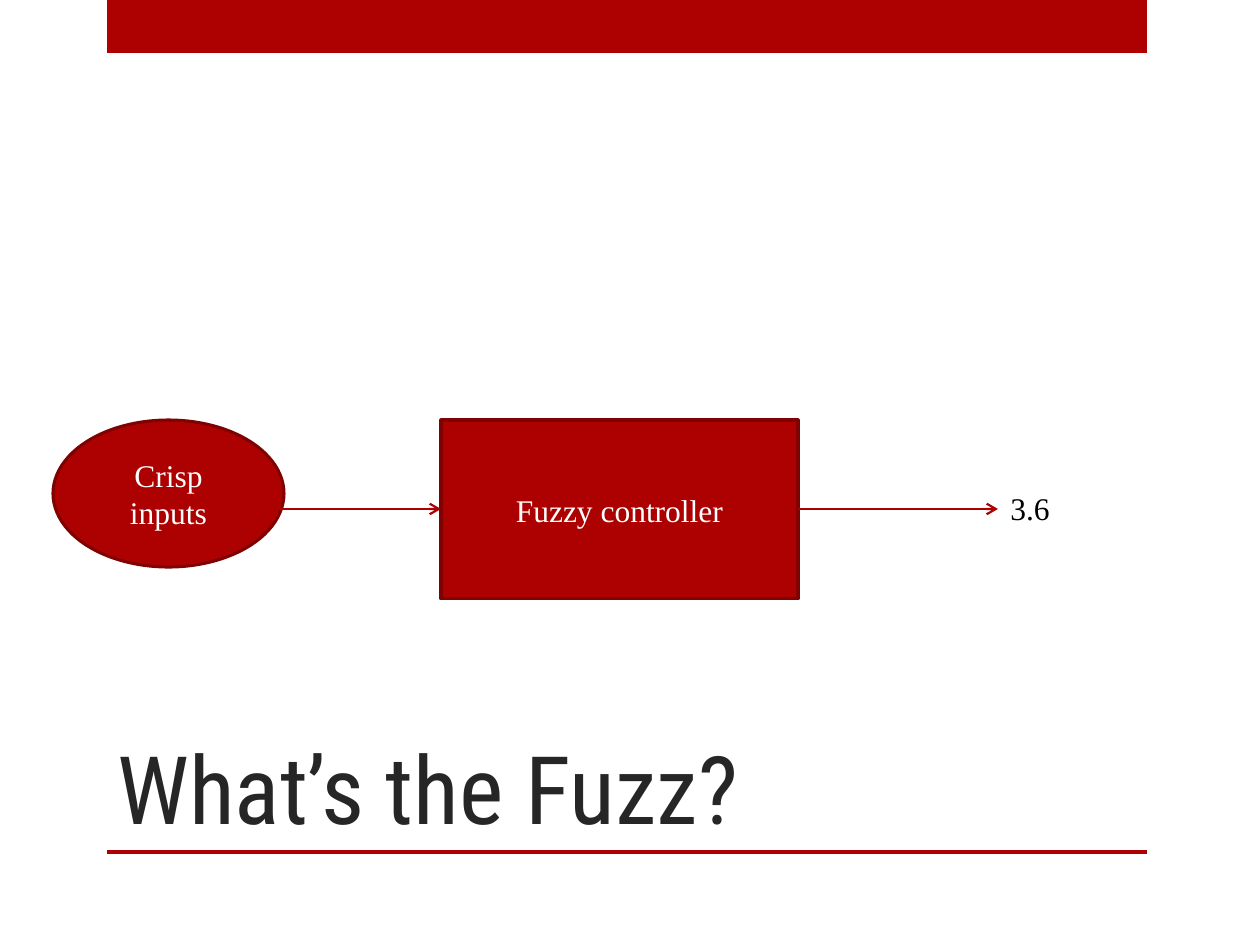
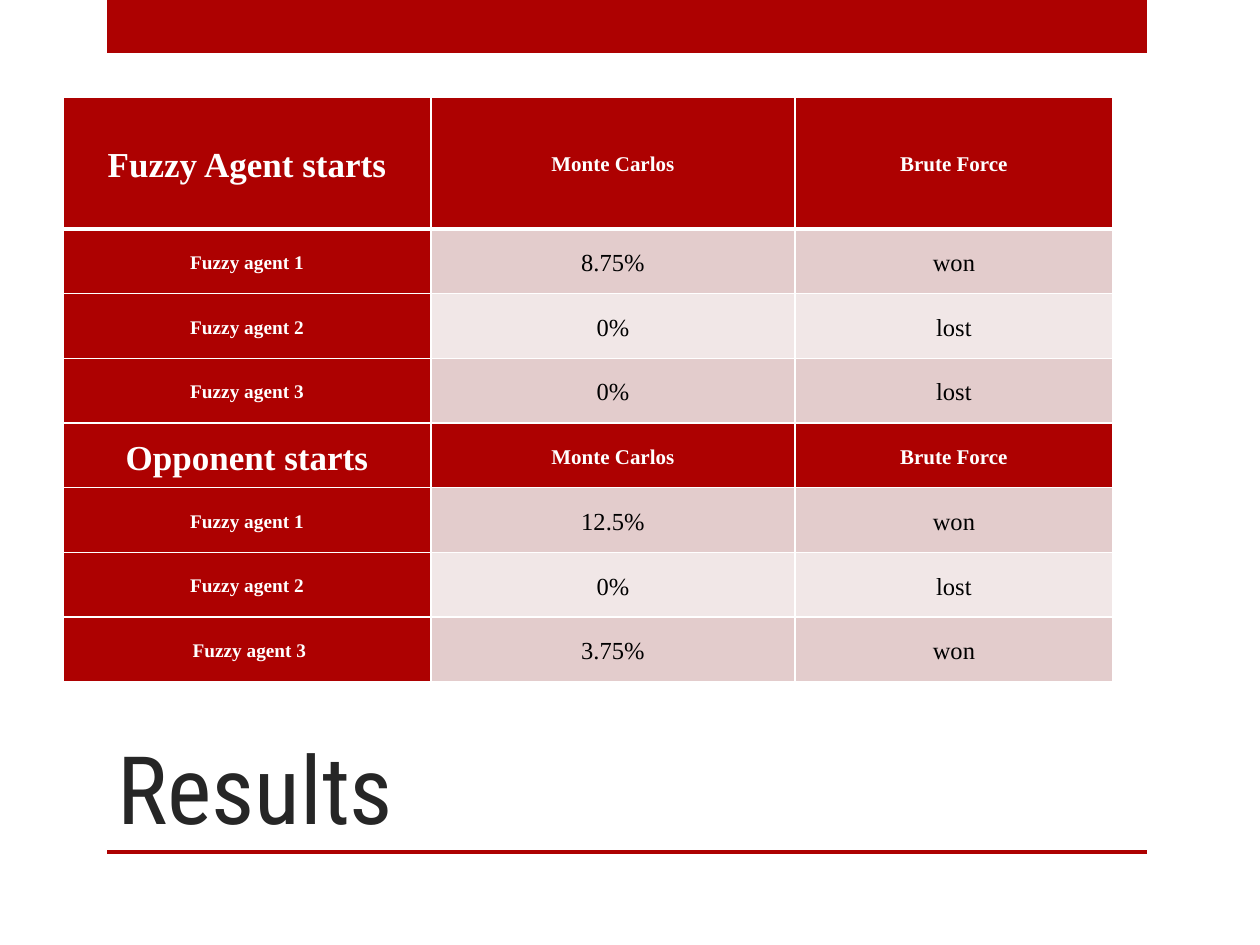
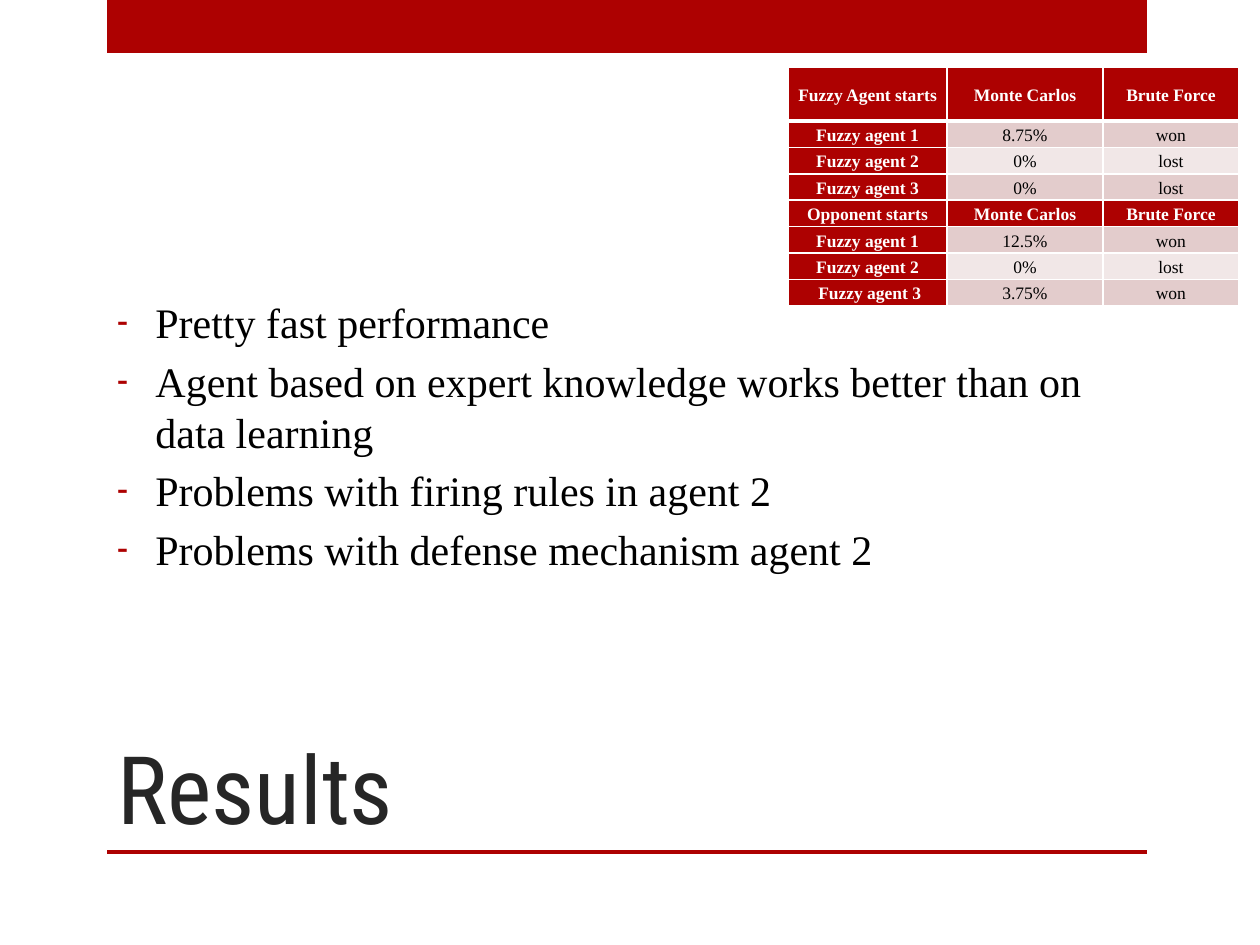
"""Three slides on a fuzzy controller: a flow diagram, a result table and the findings."""
from dataclasses import dataclass

from lxml import etree
from pptx import Presentation
from pptx import util as u
from pptx.dml.color import RGBColor
from pptx.enum import shapes, text
from pptx.oxml import ns

SCALE = 914400 / 126
COLORS = {
    "red": "AD0101",
    "dark_red": "800101",
    "band_dark": "E3CCCC",
    "band_light": "F1E7E7",
    "title": "262626",
    "black": "000000",
    "white": "FFFFFF",
}
TITLE_FONT = "Roboto Condensed"
BODY_FONT = "Times New Roman"

RESULT_ROWS = [
    ("Fuzzy Agent starts", "Monte Carlos", "Brute Force"),
    ("Fuzzy agent 1", "8.75%", "won"),
    ("Fuzzy agent 2", "0%", "lost"),
    ("Fuzzy agent 3", "0%", "lost"),
    ("Opponent starts", "Monte Carlos", "Brute Force"),
    ("Fuzzy agent 1", "12.5%", "won"),
    ("Fuzzy agent 2", "0%", "lost"),
    (" Fuzzy agent 3", "3.75%", "won"),
]
SECTION_LENGTH = 4  # one heading row and three agents

FINDINGS = [
    "Pretty fast performance",
    "Agent based on expert knowledge works better than on data learning",
    "Problems with firing rules in agent 2",
    "Problems with defense mechanism agent 2",
]


@dataclass(frozen=True)
class Box:
    """A rectangle in pixels."""
    left: int
    top: int
    width: int
    height: int

    def emu(self) -> tuple:
        """Return the four lengths in EMU."""
        return tuple(px(n) for n in (self.left, self.top, self.width, self.height))


@dataclass(frozen=True)
class TextStyle:
    """The look of a run."""
    size: int
    color: str = "black"
    font: str = BODY_FONT
    bold: bool = False


@dataclass(frozen=True)
class TableLayout:
    """Place, grid and text sizes of a result table."""
    left: int
    top: int
    height: int
    heading_height: int
    columns: tuple
    section_size: int
    heading_size: int
    label_size: int
    value_size: int


TOP_BAND = Box(107, 0, 1040, 53)
BOTTOM_RULE = Box(107, 850, 1040, 4)
TITLE_BOX = Box(105, 630, 935, 220)
TITLE_STYLE = TextStyle(54, "title", TITLE_FONT)
NODE_STYLE = TextStyle(18, "white")

LARGE_TABLE = TableLayout(63, 97, 585, 132, (368, 364, 318), 20, 12, 11, 14)
SMALL_TABLE = TableLayout(788, 67, 239, 54, (159, 156, 136), 10, 10, 10, 10)


def px(pixels: float) -> u.Emu:
    """Turn pixels into EMU."""
    return u.Emu(round(pixels * SCALE))


def rgb(name: str) -> RGBColor:
    """Look up a colour."""
    return RGBColor.from_string(COLORS[name])


def add_run(paragraph, words: str, style: TextStyle) -> None:
    """Add one styled run."""
    run = paragraph.add_run()
    run.text = words
    run.font.name = style.font
    run.font.size = u.Pt(style.size)
    run.font.bold = style.bold
    run.font.color.rgb = rgb(style.color)


def add_text_box(slide, box: Box, anchor, wrap: bool = True):
    """Add an empty text box and return its text frame."""
    frame = slide.shapes.add_textbox(*box.emu()).text_frame
    frame.word_wrap = wrap
    frame.vertical_anchor = anchor
    return frame


def add_filled_shape(slide, kind, box: Box, outline: str | None = None):
    """Add a red preset shape, with an outline if one is named."""
    shape = slide.shapes.add_shape(kind, *box.emu())
    shape.shadow.inherit = False
    shape.fill.solid()
    shape.fill.fore_color.rgb = rgb("red")
    if outline:
        shape.line.color.rgb = rgb(outline)
        shape.line.width = u.Pt(1.75)
    else:
        shape.line.fill.background()
    return shape


def add_node(slide, kind, box: Box, words: str) -> None:
    """Add a labelled node of the diagram."""
    frame = add_filled_shape(slide, kind, box, "dark_red").text_frame
    frame.word_wrap = True
    frame.vertical_anchor = text.MSO_ANCHOR.MIDDLE
    paragraph = frame.paragraphs[0]
    paragraph.alignment = text.PP_ALIGN.CENTER
    add_run(paragraph, words, NODE_STYLE)


def add_arrow(slide, start: int, end: int, y: int) -> None:
    """Add a horizontal arrow."""
    connector = slide.shapes.add_connector(
        shapes.MSO_CONNECTOR.STRAIGHT, px(start), px(y), px(end), px(y))
    connector.line.color.rgb = rgb("red")
    connector.line.width = u.Pt(1.25)
    properties = connector.element.spPr
    line = properties.find(ns.qn("a:ln"))
    etree.SubElement(line, ns.qn("a:tailEnd"), type="arrow")
    etree.SubElement(properties, ns.qn("a:effectLst"))


def add_border(cell, side: str, points: int) -> None:
    """Draw one white cell border."""
    line = etree.SubElement(cell._tc.get_or_add_tcPr(), ns.qn(f"a:ln{side}"),
                            w=str(u.Pt(points)))
    fill = etree.SubElement(line, ns.qn("a:solidFill"))
    etree.SubElement(fill, ns.qn("a:srgbClr"), val=COLORS["white"])


def cell_look(layout: TableLayout, row: int, column: int) -> tuple:
    """Return the fill and the text style that a cell's place calls for."""
    place = row % SECTION_LENGTH
    if place == 0:
        size = layout.heading_size if column else layout.section_size
        return "red", TextStyle(size, "white", bold=True)
    if column == 0:
        return "red", TextStyle(layout.label_size, "white", bold=True)
    return ("band_dark" if place % 2 else "band_light"), TextStyle(layout.value_size)


def fill_cell(cell, layout: TableLayout, row: int, column: int) -> None:
    """Write and style one table cell."""
    fill, style = cell_look(layout, row, column)
    cell.margin_left = cell.margin_right = px(9)
    cell.margin_top = cell.margin_bottom = 0
    cell.vertical_anchor = text.MSO_ANCHOR.MIDDLE
    widths = {"L": 1, "R": 1, "T": 3 if row == 1 else 1, "B": 3 if row == 0 else 1}
    for side, points in widths.items():
        add_border(cell, side, points)
    cell.fill.solid()
    cell.fill.fore_color.rgb = rgb(fill)
    paragraph = cell.text_frame.paragraphs[0]
    paragraph.alignment = text.PP_ALIGN.CENTER
    paragraph.line_spacing = 1.15
    add_run(paragraph, RESULT_ROWS[row][column], style)


def add_result_table(slide, layout: TableLayout) -> None:
    """Add the table of results; rows below the first share its remaining height."""
    box = Box(layout.left, layout.top, sum(layout.columns), layout.height)
    table = slide.shapes.add_table(
        len(RESULT_ROWS), len(layout.columns), *box.emu()).table
    table.horz_banding = False
    for column, width in zip(table.columns, layout.columns):
        column.width = px(width)
    body_height = (layout.height - layout.heading_height) / (len(RESULT_ROWS) - 1)
    for index, row in enumerate(table.rows):
        row.height = px(body_height if index else layout.heading_height)
        for column, cell in enumerate(row.cells):
            fill_cell(cell, layout, index, column)


def add_bullet(paragraph) -> None:
    """Give a paragraph a hanging red dash and a gap of a fifth of a line."""
    properties = paragraph._p.get_or_add_pPr()
    indent = px(38)
    properties.set("marL", str(indent))
    properties.set("indent", str(-indent))
    gap = etree.SubElement(properties, ns.qn("a:spcBef"))
    etree.SubElement(gap, ns.qn("a:spcPct"), val="20000")
    color = etree.SubElement(properties, ns.qn("a:buClr"))
    etree.SubElement(color, ns.qn("a:srgbClr"), val=COLORS["red"])
    etree.SubElement(properties, ns.qn("a:buFont"), typeface=TITLE_FONT)
    etree.SubElement(properties, ns.qn("a:buChar"), char="-")


def add_bullet_list(slide, box: Box, items: list) -> None:
    """Add a dashed list."""
    frame = add_text_box(slide, box, text.MSO_ANCHOR.MIDDLE)
    for index, item in enumerate(items):
        paragraph = frame.add_paragraph() if index else frame.paragraphs[0]
        add_bullet(paragraph)
        add_run(paragraph, item, TextStyle(24))


def add_slide(presentation, title: str):
    """Add a slide with the shared band, rule and title."""
    slide = presentation.slides.add_slide(presentation.slide_layouts[6])
    for box in (TOP_BAND, BOTTOM_RULE):
        add_filled_shape(slide, shapes.MSO_SHAPE.RECTANGLE, box)
    frame = add_text_box(slide, TITLE_BOX, text.MSO_ANCHOR.BOTTOM)
    add_run(frame.paragraphs[0], title, TITLE_STYLE)
    return slide


def build_diagram_slide(presentation) -> None:
    """Show how inputs pass through the controller."""
    slide = add_slide(presentation, "What’s the Fuzz?")
    add_node(slide, shapes.MSO_SHAPE.OVAL, Box(53, 420, 231, 147), "Crisp inputs")
    add_node(slide, shapes.MSO_SHAPE.RECTANGLE, Box(441, 420, 357, 179),
             "Fuzzy controller")
    output = add_text_box(slide, Box(998, 483, 66, 50), text.MSO_ANCHOR.TOP, wrap=False)
    output.auto_size = text.MSO_AUTO_SIZE.SHAPE_TO_FIT_TEXT
    add_run(output.paragraphs[0], "3.6", TextStyle(18))
    for start, end in ((798, 998), (242, 441)):
        add_arrow(slide, start, end, 509)


def build_results_slide(presentation) -> None:
    """Show the results in full size."""
    add_result_table(add_slide(presentation, "Results"), LARGE_TABLE)


def build_findings_slide(presentation) -> None:
    """Show the findings beside a small table."""
    slide = add_slide(presentation, "Results")
    add_result_table(slide, SMALL_TABLE)
    add_bullet_list(slide, Box(105, 168, 1040, 535), FINDINGS)


def main() -> None:
    """Build and save the presentation."""
    presentation = Presentation()
    presentation.slide_width = px(1260)
    presentation.slide_height = px(945)
    build_diagram_slide(presentation)
    build_results_slide(presentation)
    build_findings_slide(presentation)
    presentation.save("out.pptx")


main()
